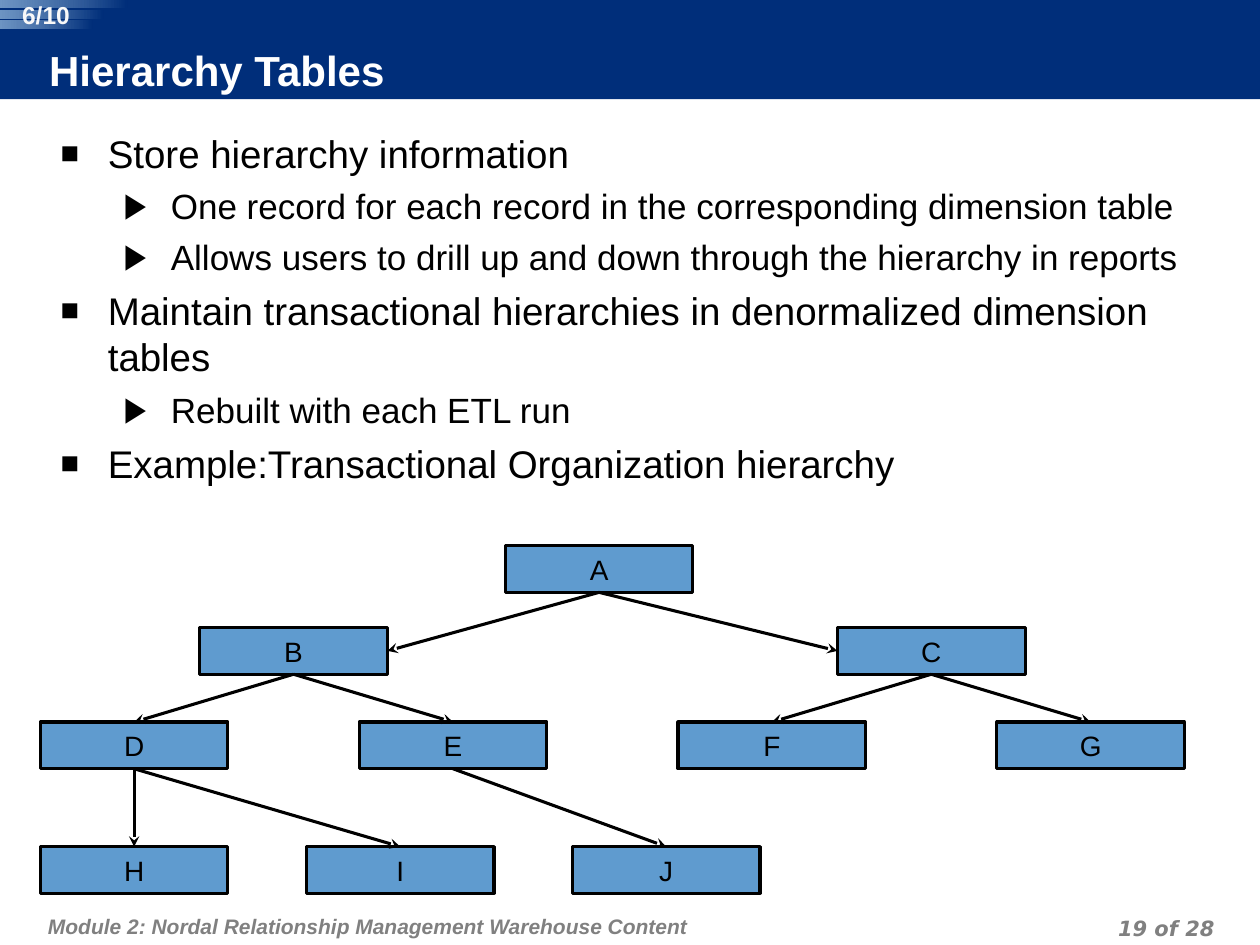
from collections import namedtuple
from dataclasses import dataclass

from lxml.etree import SubElement
from pptx import Presentation
from pptx.dml.color import RGBColor
from pptx.enum.shapes import MSO_CONNECTOR as Connector, MSO_SHAPE as Shape
from pptx.enum.text import MSO_ANCHOR as Anchor, MSO_AUTO_SIZE as AutoSize, PP_ALIGN as Align
from pptx.oxml.ns import qn
from pptx.util import Pt

Box = namedtuple("Box", "left top width height")
Bullet = namedtuple("Bullet", "mark percent indent size before")


@dataclass(frozen=True)
class Theme:
    navy: str = "002E7A"
    sky: str = "90B5DA"
    node: str = "5F9BCF"
    ink: str = "000000"
    white: str = "FFFFFF"
    pale: str = "F8F8F8"
    grey: str = "808080"
    font: str = "Arial"
    number_font: str = "DejaVu Sans"
    title_size: float = 24
    node_size: float = 16
    badge_size: float = 14
    footer_size: float = 12
    line_width: float = 1.75


THEME = Theme()
BULLETS = [Bullet("■", 80, 27, 22, 5.5), Bullet("▶", 100, 63, 20, 5)]
HANGING = 27

POINTS = [
    (0, "Store hierarchy information"),
    (1, "One record for each record in the corresponding dimension table"),
    (1, "Allows users to drill up and down through the hierarchy in reports"),
    (0, "Maintain transactional hierarchies in denormalized dimension tables"),
    (1, "Rebuilt with each ETL run"),
    (0, "Example:Transactional Organization hierarchy"),
]

NODE_WIDTH, NODE_HEIGHT = 107.3, 26.7
ROW_TOPS = (0, 46.8, 100.8, 172)
THIRD_ROW_STEP, FOURTH_ROW_STEP = 182.2, 152
TOP, LEFT, BOTTOM, RIGHT = range(4)
LINKS = [
    ("A", "B", RIGHT), ("A", "C", LEFT),
    ("B", "D", TOP), ("B", "E", TOP), ("C", "F", TOP), ("C", "G", TOP),
    ("E", "J", TOP), ("D", "I", TOP), ("D", "H", TOP),
]


def color(code):
    return RGBColor.from_string(code)


def place(shape, box):
    shape.left, shape.top, shape.width, shape.height = map(Pt, box)


def set_frame(frame, margins, anchor=Anchor.TOP, wrap=True):
    frame.auto_size = AutoSize.NONE
    frame.word_wrap = wrap
    frame.vertical_anchor = anchor
    (frame.margin_left, frame.margin_top,
     frame.margin_right, frame.margin_bottom) = map(Pt, margins)


def style(para, size, code, align=Align.LEFT, font=THEME.font, bold=False, italic=False):
    para.alignment = align
    para.font.name = font
    para.font.size = Pt(size)
    para.font.color.rgb = color(code)
    para.font.bold = bold
    para.font.italic = italic


def add_shape(shapes, kind, box, code):
    shape = shapes.add_shape(kind, *map(Pt, box))
    shape.shadow.inherit = False
    shape.fill.solid()
    shape.fill.fore_color.rgb = color(code)
    shape.line.fill.background()
    return shape


def add_label(shapes, box, text, margins, wrap=True, **look):
    label = shapes.add_textbox(*map(Pt, box))
    set_frame(label.text_frame, margins, wrap=wrap)
    para = label.text_frame.paragraphs[0]
    para.text = text
    style(para, **look)
    return para


def add_header(page, box):
    bar = add_shape(page.shapes, Shape.RECTANGLE, box, THEME.navy)
    page.shapes.title._element.addprevious(bar._element)
    title = page.shapes.title
    place(title, Box(box.left + 28.1, box.top + 27.4, 566.6, 28.8))
    title.fill.solid()
    title.fill.fore_color.rgb = color(THEME.navy)
    set_frame(title.text_frame, (0, 0, 3.6, 3.6), Anchor.MIDDLE)
    para = title.text_frame.paragraphs[0]
    para.text = "Hierarchy Tables"
    style(para, THEME.title_size, THEME.white, bold=True)


def add_badge(page, box):
    badge = page.shapes.add_group_shape().shapes
    for row, width in enumerate((box.width, 59, 52.6)):
        strip = Box(box.left, box.top + row * 5.8, width, 4.6)
        bar = add_shape(badge, Shape.ROUNDED_RECTANGLE, strip, THEME.navy)
        bar.adjustments[0] = 0
        bar.fill.gradient()
        bar.fill.gradient_angle = 180
        for stop, code in zip(bar.fill.gradient_stops, (THEME.navy, THEME.sky)):
            stop.color.rgb = color(code)
        light = bar._element.xpath(".//a:gs/a:srgbClr")[-1]
        SubElement(light, qn("a:alpha"), val="76000")
    add_label(badge, Box(box.left + 7.9, box.top, 36.7, box.height), "6/10", (0, 0, 0, 0),
              wrap=False, size=THEME.badge_size, code=THEME.pale, align=Align.CENTER, bold=True)


def add_bullet(para, bullet):
    props = para._p.get_or_add_pPr()
    props.set("marL", str(Pt(bullet.indent)))
    props.set("indent", str(-Pt(HANGING)))
    SubElement(SubElement(props, qn("a:buClr")), qn("a:srgbClr"), val=THEME.ink)
    SubElement(props, qn("a:buSzPct"), val=str(bullet.percent * 1000))
    SubElement(props, qn("a:buFont"), typeface=THEME.font)
    SubElement(props, qn("a:buChar"), char=bullet.mark)


def add_points(page, box):
    body = page.placeholders[1]
    place(body, box)
    frame = body.text_frame
    set_frame(frame, (7.2, 7.2, 7.2, 3.6))
    for index, (level, text) in enumerate(POINTS):
        para = frame.add_paragraph() if index else frame.paragraphs[0]
        bullet = BULLETS[level]
        para.text = text
        para.level = level
        add_bullet(para, bullet)
        para.space_before = Pt(bullet.before if index else 0)
        style(para, bullet.size, THEME.ink)


def add_node(page, name, left, top):
    node = add_shape(page.shapes, Shape.RECTANGLE, Box(left, top, NODE_WIDTH, NODE_HEIGHT), THEME.node)
    node.line.color.rgb = color(THEME.ink)
    node.line.width = Pt(THEME.line_width)
    set_frame(node.text_frame, (7.2, 3.6, 7.2, 3.6), Anchor.MIDDLE, wrap=False)
    para = node.text_frame.paragraphs[0]
    para.text = name
    style(para, THEME.node_size, THEME.ink, Align.CENTER)
    return node


def add_arrow(page, parent, child, side):
    arrow = page.shapes.add_connector(Connector.STRAIGHT, 0, 0, 0, 0)
    arrow.begin_connect(parent, BOTTOM)
    arrow.end_connect(child, side)
    arrow.line.color.rgb = color(THEME.ink)
    arrow.line.width = Pt(THEME.line_width)
    props = arrow._element.spPr
    SubElement(props.find(qn("a:ln")), qn("a:tailEnd"), type="stealth")
    SubElement(props, qn("a:effectLst"))


def add_tree(page, box):
    step = THIRD_ROW_STEP
    rows = [
        {"A": 265.7},
        {"B": step / 2, "C": step * 2.5},
        {name: index * step for index, name in enumerate("DEFG")},
        {name: index * FOURTH_ROW_STEP for index, name in enumerate("HIJ")},
    ]
    nodes = {
        name: add_node(page, name, box.left + left, box.top + top)
        for top, row in zip(ROW_TOPS, rows) for name, left in row.items()
    }
    for parent, child, side in LINKS:
        add_arrow(page, nodes[parent], nodes[child], side)


def add_footer(page, box):
    look = dict(size=THEME.footer_size, code=THEME.grey, bold=True, italic=True)
    module = add_label(page.shapes, Box(box.left, box.top, 445, box.height),
                       "Module 2: Nordal Relationship Management Warehouse Content",
                       (3.6, 7.2, 3.6, 3.6), **look)
    number = add_label(page.shapes, Box(box.left + box.width - 167.8, box.top + 8.6, 167.8, 18),
                       "19 of 28", (3.6, 0, 3.6, 0),
                       align=Align.RIGHT, font=THEME.number_font, **look)
    for para in (module, number):
        para.line_spacing = Pt(18)


def main():
    deck = Presentation()
    deck.slide_width, deck.slide_height = Pt(720), Pt(540)
    page = deck.slides.add_slide(deck.slide_layouts[1])
    add_header(page, Box(0, 0, 720, 56.7))
    add_footer(page, Box(23.8, 511.2, 673.9, 28.8))
    add_points(page, Box(27.4, 67, 669.6, 445))
    add_tree(page, Box(23, 311.8, 654, 198.7))
    add_badge(page, Box(0, 0, 72.7, 16.6))
    deck.save("out.pptx")


if __name__ == "__main__":
    main()
